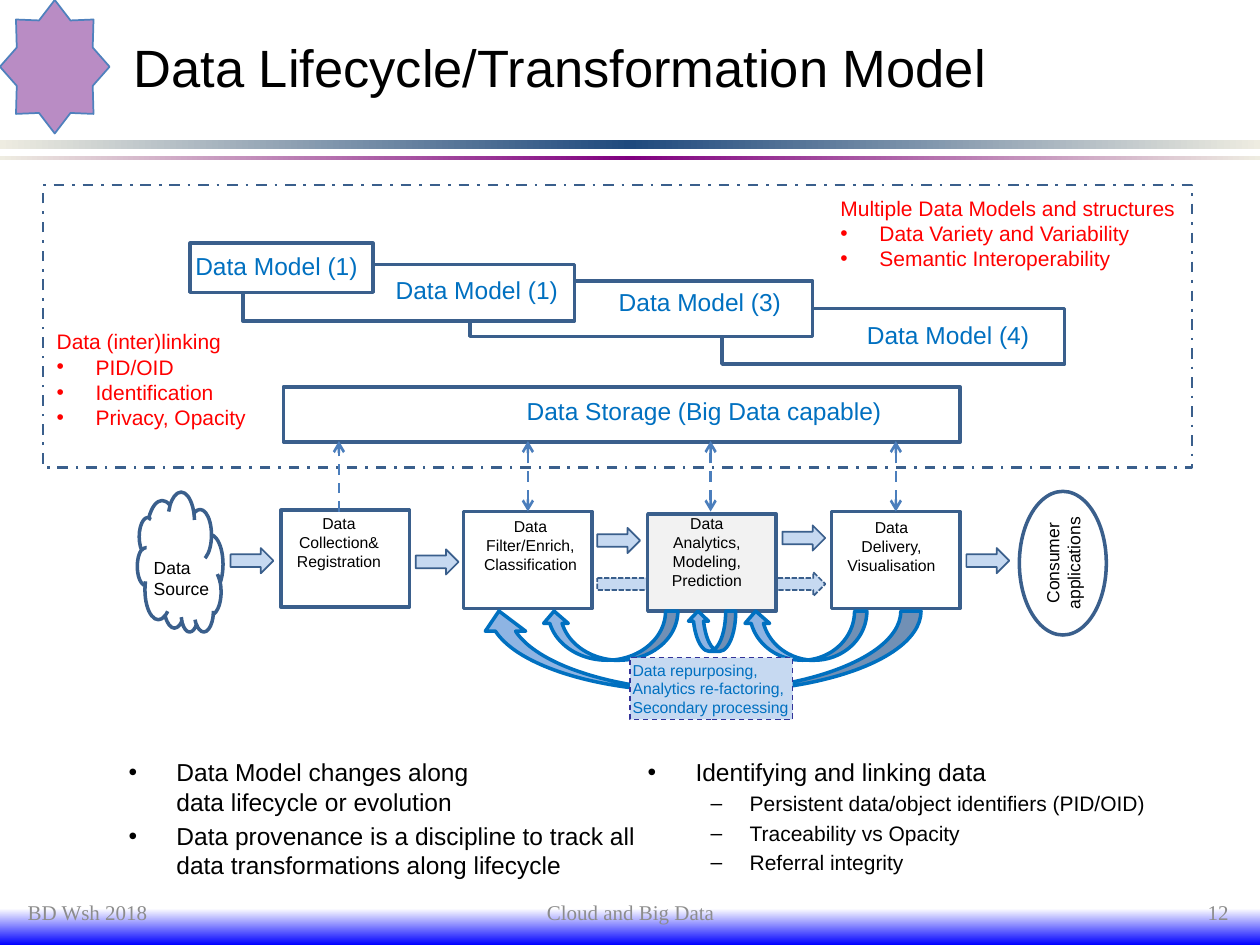
from lxml import etree
from pptx import Presentation
from pptx.dml.color import RGBColor
from pptx.enum.dml import MSO_LINE
from pptx.enum.shapes import MSO_CONNECTOR, MSO_SHAPE as SHAPE
from pptx.enum.text import MSO_ANCHOR as ANCHOR, MSO_AUTO_SIZE, PP_ALIGN as ALIGN
from pptx.oxml.ns import qn
from pptx.util import Inches, Pt

NAVY, BLUE, PALE, RED = "3A5F8C", "0070C0", "C6D9F1", "FF0000"


def rgb(value):
    return RGBColor.from_string(value)


def add_tag(parent, tag, **attrs):
    return etree.SubElement(parent, qn(tag), attrs)


def place(sp, x, y, w, h):
    sp.left, sp.top, sp.width, sp.height = (Inches(v) for v in (x, y, w, h))


def set_bullet(p, char, margin, hang):
    pPr = p._p.get_or_add_pPr()
    pPr.set("marL", str(Inches(margin)))
    pPr.set("indent", str(-Inches(hang)))
    add_tag(pPr, "a:buFont", typeface="Arial")
    add_tag(pPr, "a:buChar", char=char)


def format_runs(p, size, color="000000", font="Arial"):
    for r in p.runs:
        r.font.size, r.font.name = Pt(size), font
        r.font.color.rgb = rgb(color)


def write(sp, text, size, color="000000", font="Arial", align=ALIGN.LEFT,
          anchor=ANCHOR.TOP, inset=0.02, wrap=True, bullets=False):
    tf = sp.text_frame
    tf.text = text
    tf.word_wrap, tf.vertical_anchor = wrap, anchor
    tf.margin_left = tf.margin_right = Inches(inset)
    tf.margin_top = tf.margin_bottom = Inches(min(inset, 0.05))
    for i, p in enumerate(tf.paragraphs):
        p.alignment = align
        if bullets and i:
            set_bullet(p, "•", 0.31, 0.31)
        format_runs(p, size, color, font)


def add_text(s, x, y, w, h, text, size, **style):
    sp = s.shapes.add_textbox(*(Inches(v) for v in (x, y, w, h)))
    write(sp, text, size, **style)


def add_shape(s, kind, x, y, w, h, fill=None, line=NAVY, width=2, dash=None):
    sp = s.shapes.add_shape(kind, *(Inches(v) for v in (x, y, w, h)))
    sp.shadow.inherit = False
    if fill:
        sp.fill.solid()
        sp.fill.fore_color.rgb = rgb(fill)
    else:
        sp.fill.background()
    if line:
        sp.line.color.rgb, sp.line.width = rgb(line), Pt(width)
        if dash:
            sp.line.dash_style = dash
    else:
        sp.line.fill.background()
    return sp


def add_gradient_bar(s, x, y, w, h, colors, angle):
    sp = add_shape(s, SHAPE.RECTANGLE, x, y, w, h, line=None)
    sp.fill.gradient()
    sp.fill.gradient_angle = angle
    stops = sp._element.spPr.find(qn("a:gradFill")).find(qn("a:gsLst"))
    for stop in list(stops):
        stops.remove(stop)
    for i, color in enumerate(colors):
        gs = add_tag(stops, "a:gs", pos=str(100000 * i // (len(colors) - 1)))
        add_tag(gs, "a:srgbClr", val=color)


def add_storage_link(s, x, bottom, top, both_ways):
    cn = s.shapes.add_connector(MSO_CONNECTOR.STRAIGHT, *(Inches(v) for v in (x, bottom, x, top)))
    cn.line.color.rgb, cn.line.width = rgb("4B7EBC"), Pt(1.5)
    cn.line.dash_style = MSO_LINE.DASH
    ln = cn.line._get_or_add_ln()
    if both_ways:
        add_tag(ln, "a:headEnd", type="arrow")
    add_tag(ln, "a:tailEnd", type="arrow")
    add_tag(cn._element.spPr, "a:effectLst")


def add_header(s, x, y, w, h):
    # Star ornament and colour bars
    add_shape(s, SHAPE.STAR_8_POINT, x, y, 0.87, 1.06, "B98CC4", "4F81BD", 1)
    for dy, bar_h, mid in ((1.11, 0.07, "1F497D"), (1.24, 0.03, "800080")):
        add_gradient_bar(s, x, y + dy, w, bar_h, ("EEECE1", mid, "EEECE1"), 0)
    title = s.shapes.title
    place(title, x + 0.98, y + 0.16, 8.52, 0.74)
    write(title, "Data Lifecycle/Transformation Model", 30, anchor=ANCHOR.MIDDLE, inset=0.08)
    title.text_frame.auto_size = MSO_AUTO_SIZE.NONE


def add_data_panel(s, x, y, w, h):
    add_shape(s, SHAPE.RECTANGLE, x, y, w, h, width=1.5, dash=MSO_LINE.DASH_DOT)
    # Overlapping models, rearmost first: box, then label position
    models = [((5.39, 0.98, 2.72, 0.44), (6.52, 1.05), "Data Model (4)"),
              ((3.39, 0.76, 2.72, 0.44), (4.55, 0.79), "Data Model (3)"),
              ((1.59, 0.63, 2.63, 0.45), (2.78, 0.69), "Data Model (1)"),
              ((1.17, 0.46, 1.45, 0.39), (1.19, 0.5), "Data Model (1)"),
              ((1.91, 1.6, 5.37, 0.44), (3.82, 1.65), "Data Storage (Big Data capable)")]
    for (dx, dy, bw, bh), (tx, ty), label in models:
        add_shape(s, SHAPE.RECTANGLE, x + dx, y + dy, bw, bh, "FFFFFF")
        label_w = 1.33 if "Model" in label else 2.87
        add_text(s, x + tx, y + ty, label_w, 0.28, label, 14, color=BLUE, wrap=False)
    # Red remarks
    add_text(s, x + 6.31, y + 0.06, 2.72, 0.65,
             "Multiple Data Models and structures\nData Variety and Variability\n"
             "Semantic Interoperability", 12, color=RED, wrap=False, bullets=True)
    add_text(s, x + 0.09, y + 1.12, 1.86, 1.05,
             "Data (inter)linking\nPID/OID\nIdentification\nPrivacy, Opacity",
             12, color=RED, bullets=True)


def add_pipeline(s, x, y, w, h):
    # Flow arrows
    add_shape(s, SHAPE.RIGHT_ARROW, x + 3.65, y + 0.64, 1.81, 0.19, PALE, width=1,
              dash=MSO_LINE.SQUARE_DOT)
    for dx, dy in ((0.74, 0.45), (2.21, 0.46), (3.65, 0.29), (5.12, 0.27), (6.58, 0.45)):
        add_shape(s, SHAPE.RIGHT_ARROW, x + dx, y + dy, 0.34, 0.2, PALE, width=1)
    # Source cloud and consumers
    cloud = add_shape(s, SHAPE.CLOUD, x, y + 0.01, 0.68, 1.11)
    cloud._element.spPr.find(qn("a:xfrm")).set("flipV", "1")
    add_text(s, x + 0.13, y + 0.52, 0.59, 0.34, "Data\nSource", 10, inset=0)
    oval = add_shape(s, SHAPE.OVAL, x + w - 0.69, y, 0.69, h, "FFFFFF")
    write(oval, "Consumer applications", 10, align=ALIGN.CENTER, anchor=ANCHOR.MIDDLE, inset=0)
    oval.text_frame._txBody.bodyPr.set("vert", "vert270")
    # Stages: box left and top, label top and width
    stages = [(1.14, 0.15, 0.13, 0.92, "Data\nCollection& Registration", None),
              (2.59, 0.16, 0.15, 1.06, "Data\nFilter/Enrich,\nClassification", None),
              (4.05, 0.18, 0.13, 0.94, "Data\nAnalytics, Modeling,\nPrediction", "F2F2F2"),
              (5.51, 0.16, 0.16, 0.95, "Data\nDelivery,\nVisualisation", None)]
    for dx, dy, ty, tw, label, fill in stages:
        add_shape(s, SHAPE.RECTANGLE, x + dx, y + dy, 1.02, 0.77, fill)
        add_text(s, x + dx, y + ty, tw, 0.56, label, 9, align=ALIGN.CENTER, inset=0.05)
    # Links up to the storage
    for i, dx in enumerate((1.6, 3.1, 4.55, 6.02)):
        add_storage_link(s, x + dx, y + 0.16, y - 0.4, both_ways=i > 0)


def add_feedback(s, x, y, w, h):
    def loop(dx, loop_w, loop_h):
        sp = add_shape(s, SHAPE.CURVED_UP_ARROW, x + dx, y, loop_w, loop_h, "8EB4E3", BLUE)
        sp._element.spPr.find(qn("a:xfrm")).set("flipH", "1")

    for dx, loop_w, loop_h in ((0.5, 1.08, 0.39), (0, w, 0.64), (2.1, 0.98, 0.39)):
        loop(dx, loop_w, loop_h)
    note = add_shape(s, SHAPE.RECTANGLE, x + 1.2, y + h - 0.49, 1.29, 0.49, PALE, "333399",
                     0.75, MSO_LINE.DASH)
    write(note, "Data repurposing,\nAnalytics re-factoring,\nSecondary processing", 9,
          color=BLUE, wrap=False)
    loop(1.66, 0.38, 0.32)


def add_conclusions(s, x, y, w, h):
    items = [(0, "Data Model changes along\ndata lifecycle or evolution"),
             (0, "Data provenance is a discipline to track all data transformations along lifecycle"),
             (0, "Identifying and linking data"),
             (1, "Persistent data/object identifiers (PID/OID)"),
             (1, "Traceability vs Opacity"),
             (1, "Referral integrity")]
    body = s.placeholders[1]
    place(body, x, y, w, h)
    tf = body.text_frame
    tf.auto_size = MSO_AUTO_SIZE.NONE
    tf._txBody.bodyPr.set("numCol", "2")
    for i, (level, text) in enumerate(items):
        p = tf.paragraphs[0] if i == 0 else tf.add_paragraph()
        p.text, p.level = text, level
        size = 12 if level else 14
        p.space_before = Pt(0 if i in (0, 2) else 0.2 * size)  # no gap at a column top
        set_bullet(p, *(("–", 0.81, 0.31) if level else ("•", 0.38, 0.38)))
        format_runs(p, size)


def add_footer(s, x, y, w, h):
    add_gradient_bar(s, x, y + 0.11, w, h - 0.11, ("FFFFFF", "0000FF"), 270)
    for dx, tw, text, align in ((0.12, 2.48, "BD Wsh 2018", ALIGN.LEFT),
                                (3.42, 3.17, "Cloud and Big Data", ALIGN.CENTER),
                                (7.52, 2.33, "12", ALIGN.RIGHT)):
        add_text(s, x + dx, y, tw, 0.28, text, 12, color="8C8C8C", font="Times New Roman",
                 align=align, anchor=ANCHOR.MIDDLE, inset=0.1)


def main():
    prs = Presentation()
    prs.slide_width, prs.slide_height = Inches(10), Inches(7.5)
    s = prs.slides.add_slide(prs.slide_layouts[1])
    add_header(s, 0, 0, 10, 1.27)
    add_footer(s, 0, 7.1, 10, 0.4)
    add_data_panel(s, 0.34, 1.47, 9.12, 2.24)
    add_pipeline(s, 1.09, 3.9, 7.69, 1.14)
    add_feedback(s, 3.8, 4.85, 3.51, 0.86)
    add_conclusions(s, 0.92, 5.96, 8.44, 1.1)
    prs.save("out.pptx")


if __name__ == "__main__":
    main()
